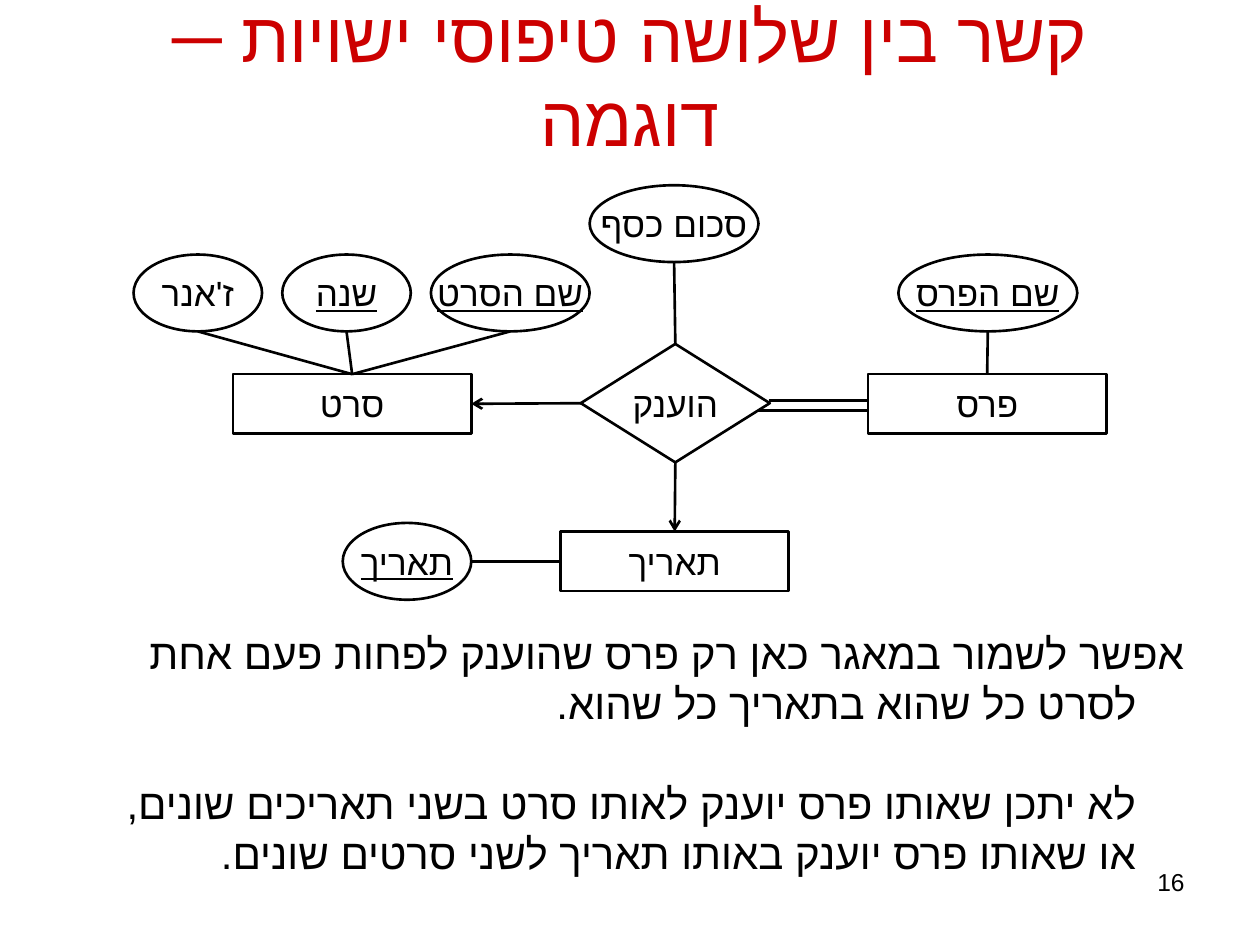
from lxml import etree
from pptx import Presentation
from pptx import util as u
from pptx.dml.color import RGBColor
from pptx.enum import shapes, text
from pptx.oxml.ns import qn

COLORS = {"title": "CC0000", "ink": "000000"}
FONT = "Arial"
TITLE = "קשר בין שלושה טיפוסי ישויות ─ דוגמה"
PARAGRAPHS = [
    {"lines": ["אפשר לשמור במאגר כאן רק פרס שהוענק לפחות פעם אחת לסרט כל שהוא בתאריך כל שהוא."],
     "indent": -0.38, "before": 0},
    {"lines": ["לא יתכן שאותו פרס יוענק לאותו סרט בשני תאריכים שונים,",
               "או שאותו פרס יוענק באותו תאריך לשני סרטים שונים."],
     "indent": 0, "before": 28},
]
PAGE_NUMBER = "16"

KINDS = {
    "entity": (shapes.MSO_SHAPE.RECTANGLE, 0.47),
    "attribute": (shapes.MSO_SHAPE.OVAL, 0.61),
    "relationship": (shapes.MSO_SHAPE.DIAMOND, 0.94),
}
NODES = {
    "prize": ("entity", "פרס", 6.89, 2.97, 1.89, False),
    "prize name": ("attribute", "שם הפרס", 7.13, 2.02, 1.42, True),
    "film": ("entity", "סרט", 1.85, 2.97, 1.89, False),
    "genre": ("attribute", "ז'אנר", 1.06, 2.02, 1.02, False),
    "year": ("attribute", "שנה", 2.24, 2.02, 1.02, True),
    "film name": ("attribute", "שם הסרט", 3.42, 2.02, 1.26, True),
    "awarded": ("relationship", "הוענק", 4.61, 2.73, 1.5, False),
    "amount": ("attribute", "סכום כסף", 4.68, 1.47, 1.34, False),
    "date": ("entity", "תאריך", 4.45, 4.22, 1.81, False),
    "date value": ("attribute", "תאריך", 2.72, 4.15, 1.02, True),
}
LINKS = [
    ("prize", "top", "prize name", "bottom", False),
    ("film", "top", "year", "bottom", False),
    ("film", "top", "film name", "bottom", False),
    ("film", "top", "genre", "bottom", False),
    ("awarded", "left", "film", "right", True),
    ("amount", "bottom", "awarded", "top", False),
    ("awarded", "bottom", "date", "top", True),
    ("date", "left", "date value", "right", False),
]
TOTAL_PARTICIPATION = [((6.02, 3.26), (6.89, 3.26)), ((6.1, 3.18), (6.89, 3.18))]
SIDES = {"top": (0.5, 0), "bottom": (0.5, 1), "left": (0, 0.5), "right": (1, 0.5)}


def add_run(paragraph, words, size, color="ink", underline=False):
    run = paragraph.add_run()
    run.text = words
    run.font.size = u.Pt(size)
    run.font.name = FONT
    run.font.color.rgb = RGBColor.from_string(COLORS[color])
    if underline:
        run.font.underline = True
    properties = run._r.get_or_add_rPr()
    etree.SubElement(properties, qn("a:cs"), typeface=FONT)


def place(shape, left, top, width, height):
    shape.left, shape.top = u.Inches(left), u.Inches(top)
    shape.width, shape.height = u.Inches(width), u.Inches(height)


def add_node(slide, kind, words, left, top, width, underline):
    preset, height = KINDS[kind]
    shape = slide.shapes.add_shape(
        preset, u.Inches(left), u.Inches(top), u.Inches(width), u.Inches(height))
    shape.shadow.inherit = False
    shape.fill.background()
    shape.line.color.rgb = RGBColor.from_string(COLORS["ink"])
    shape.line.width = u.Pt(1.5)
    frame = shape.text_frame
    frame.word_wrap = False
    frame.vertical_anchor = text.MSO_ANCHOR.MIDDLE
    paragraph = frame.paragraphs[0]
    paragraph.alignment = text.PP_ALIGN.CENTER
    add_run(paragraph, words, 20, underline=underline)


def side_point(name, side):
    kind, words, left, top, width, underline = NODES[name]
    across, down = SIDES[side]
    return left + across * width, top + down * KINDS[kind][1]


def add_line(slide, start, end, arrow=False):
    connector = slide.shapes.add_connector(
        shapes.MSO_CONNECTOR.STRAIGHT, *[u.Inches(value) for value in (*start, *end)])
    connector.line.color.rgb = RGBColor.from_string(COLORS["ink"])
    connector.line.width = u.Pt(1.5)
    if arrow:
        etree.SubElement(connector.line._get_or_add_ln(), qn("a:tailEnd"), type="arrow")
    etree.SubElement(connector._element.spPr, qn("a:effectLst"))


def add_title(slide):
    title = slide.shapes.title
    place(title, 0.5, 0.3, 9, 0.61)
    title.text_frame.vertical_anchor = text.MSO_ANCHOR.MIDDLE
    paragraph = title.text_frame.paragraphs[0]
    paragraph.alignment = text.PP_ALIGN.CENTER
    paragraph._p.get_or_add_pPr().set("rtl", "1")
    add_run(paragraph, TITLE, 40, "title")


def add_body(slide):
    box = slide.shapes.add_textbox(
        u.Inches(0.6), u.Inches(4.93), u.Inches(8.9), u.Inches(2.2))
    frame = box.text_frame
    frame.word_wrap = True
    for index, item in enumerate(PARAGRAPHS):
        paragraph = frame.add_paragraph() if index else frame.paragraphs[0]
        paragraph.alignment = text.PP_ALIGN.RIGHT
        if item["before"]:
            paragraph.space_before = u.Pt(item["before"])
        properties = paragraph._p.get_or_add_pPr()
        properties.set("rtl", "1")
        properties.set("marL", str(u.Inches(0.38)))
        properties.set("indent", str(u.Inches(item["indent"])))
        for number, line in enumerate(item["lines"]):
            if number:
                paragraph.add_line_break()
            add_run(paragraph, line, 24)


def add_page_number(slide):
    box = slide.shapes.add_textbox(
        u.Inches(7.17), u.Inches(6.83), u.Inches(2.33), u.Inches(0.52))
    box.text_frame.word_wrap = True
    paragraph = box.text_frame.paragraphs[0]
    paragraph.alignment = text.PP_ALIGN.RIGHT
    add_run(paragraph, PAGE_NUMBER, 14)


def main():
    presentation = Presentation()
    presentation.slide_width = u.Inches(10)
    presentation.slide_height = u.Inches(7.5)
    slide = presentation.slides.add_slide(presentation.slide_layouts[5])
    add_page_number(slide)
    add_title(slide)
    add_body(slide)
    for node in NODES.values():
        add_node(slide, *node)
    for source, source_side, target, target_side, arrow in LINKS:
        add_line(slide, side_point(source, source_side), side_point(target, target_side), arrow)
    for start, end in TOTAL_PARTICIPATION:
        add_line(slide, start, end)
    presentation.save("out.pptx")


if __name__ == "__main__":
    main()
